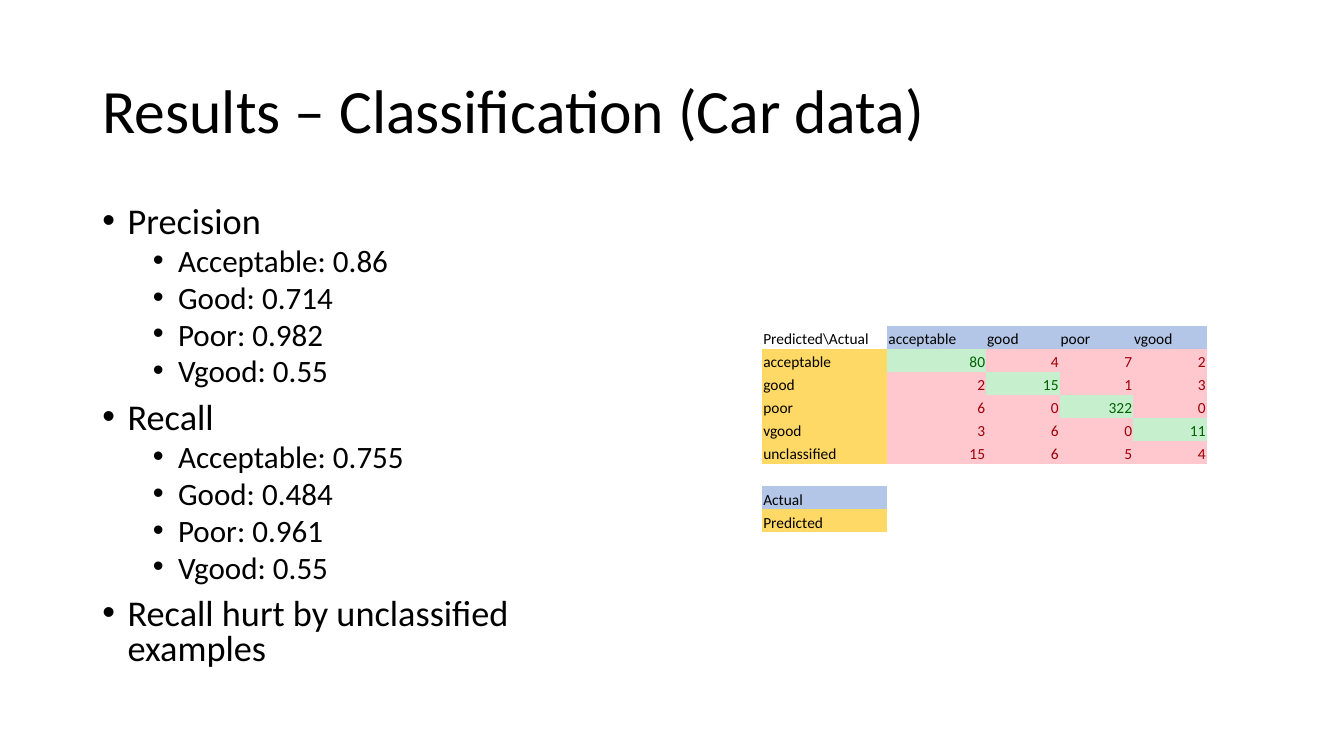
from dataclasses import dataclass

from lxml.etree import SubElement
from pptx import Presentation
from pptx.dml.color import RGBColor
from pptx.enum.text import MSO_ANCHOR as Anchor, MSO_AUTO_SIZE as AutoSize, PP_ALIGN as Align
from pptx.oxml.ns import qn
from pptx.util import Emu, Inches, Pt

COLOURS = {
    "text": "000000",
    "actual": "B4C6E7",
    "predicted": "FFD966",
    "hit": "C6EFCE",
    "hit text": "006100",
    "miss": "FFC7CE",
    "miss text": "9C0006",
}
FONT = "Calibri"
PLAIN_TABLE_STYLE = "{2D5ABB26-0587-4C30-8999-92F81FD0307C}"
GRID_COLUMNS, GRID_ROWS = 160, 90


@dataclass(frozen=True)
class Box:
    """A place on the slide, in grid columns and rows."""
    left: float
    top: float
    width: float
    height: float


@dataclass(frozen=True)
class Level:
    size: float
    indent: float
    before: float


@dataclass(frozen=True)
class Bullet:
    text: str
    level: int = 0


@dataclass(frozen=True)
class Entry:
    text: str
    fill: str | None = None
    colour: str = "text"
    align: Align = Align.LEFT


TITLE_BOX = Box(11, 4.8, 138, 17.4)
BODY_BOX = Box(11, 24, 68, 57.1)
TABLE_BOX = Box(90.75, 38.8, 52.8, 24.6)
TABLE_COLUMNS = [14.9, 11.75, 8.75, 8.75, 8.75]
TABLE_ROWS = 9
LEGEND_ROW = 7

LEVELS = [Level(25.9, 0.25, 10), Level(22.2, 0.75, 5)]
HANGING = 0.25
BULLETS = [
    Bullet("Precision"),
    Bullet("Acceptable: 0.86", 1),
    Bullet("Good: 0.714", 1),
    Bullet("Poor: 0.982", 1),
    Bullet("Vgood: 0.55", 1),
    Bullet("Recall"),
    Bullet("Acceptable: 0.755", 1),
    Bullet("Good: 0.484", 1),
    Bullet("Poor: 0.961", 1),
    Bullet("Vgood: 0.55", 1),
    Bullet("Recall hurt by unclassified examples"),
]

CLASSES = ["acceptable", "good", "poor", "vgood"]
CONFUSION = {
    "acceptable": [80, 4, 7, 2],
    "good": [2, 15, 1, 3],
    "poor": [6, 0, 322, 0],
    "vgood": [3, 6, 0, 11],
    "unclassified": [15, 6, 5, 4],
}

deck = Presentation()
deck.slide_width, deck.slide_height = Inches(13.333), Inches(7.5)


def across(columns: float) -> Emu:
    return Emu(round(deck.slide_width * columns / GRID_COLUMNS))


def down(rows: float) -> Emu:
    return Emu(round(deck.slide_height * rows / GRID_ROWS))


def place(shape, box: Box) -> None:
    shape.left, shape.top = across(box.left), down(box.top)
    shape.width, shape.height = across(box.width), down(box.height)


def write(para, text: str, *, size: float, colour: str = "text",
          align: Align = Align.LEFT, spacing: float | None = None,
          before: float | None = None) -> None:
    para.alignment = align
    if spacing is not None:
        para.line_spacing = spacing
    if before is not None:
        para.space_before = Pt(before)
    span = para.add_run()
    span.text = text
    span.font.name, span.font.size = FONT, Pt(size)
    span.font.color.rgb = RGBColor.from_string(COLOURS[colour])


def add_bullets(frame, bullets: list[Bullet]) -> None:
    for index, bullet in enumerate(bullets):
        para = frame.add_paragraph() if index else frame.paragraphs[0]
        level = LEVELS[bullet.level]
        para.level = bullet.level
        write(para, bullet.text, size=level.size, spacing=0.8, before=level.before)
        properties = para._p.get_or_add_pPr()
        properties.set("marL", str(Inches(level.indent)))
        properties.set("indent", str(-Inches(HANGING)))
        SubElement(properties, qn("a:buFont"), typeface="Arial")
        SubElement(properties, qn("a:buChar"), char="•")


def confusion_entries() -> dict[tuple[int, int], Entry]:
    """Table contents by row and column."""
    entries = {(0, 0): Entry("Predicted\\Actual")}
    for column, name in enumerate(CLASSES, 1):
        entries[0, column] = Entry(name, "actual")
    for row, (name, counts) in enumerate(CONFUSION.items(), 1):
        entries[row, 0] = Entry(name, "predicted")
        for column, count in enumerate(counts, 1):
            kind = "hit" if row == column else "miss"
            entries[row, column] = Entry(str(count), kind, f"{kind} text", Align.RIGHT)
    for row, name in enumerate(["Actual", "Predicted"], LEGEND_ROW):
        entries[row, 0] = Entry(name, name.lower())
    return entries


def fill_cell(cell, entry: Entry | None) -> None:
    cell.vertical_anchor = Anchor.BOTTOM
    cell.margin_left = cell.margin_right = cell.margin_top = Inches(0.01)
    cell.margin_bottom = 0
    para = cell.text_frame.paragraphs[0]
    if entry:
        write(para, entry.text, size=11, colour=entry.colour, align=entry.align)
    else:
        # A small end mark keeps empty rows from growing
        SubElement(para._p, qn("a:endParaRPr"), sz="1100")
    if entry and entry.fill:
        cell.fill.solid()
        cell.fill.fore_color.rgb = RGBColor.from_string(COLOURS[entry.fill])
    else:
        cell.fill.background()


def add_confusion_table(page) -> None:
    box = TABLE_BOX
    frame = page.shapes.add_table(
        TABLE_ROWS, len(TABLE_COLUMNS), across(box.left), down(box.top),
        across(box.width), down(box.height))
    table = frame.table
    table.first_row = table.horz_banding = False
    table._tbl.tblPr.find(qn("a:tableStyleId")).text = PLAIN_TABLE_STYLE
    for column, width in zip(table.columns, TABLE_COLUMNS):
        column.width = across(width)
    entries = confusion_entries()
    for row in range(TABLE_ROWS):
        for column in range(len(TABLE_COLUMNS)):
            fill_cell(table.cell(row, column), entries.get((row, column)))


def main() -> None:
    page = deck.slides.add_slide(deck.slide_layouts[1])

    # Title
    title = page.shapes.title
    place(title, TITLE_BOX)
    title.text_frame.vertical_anchor = Anchor.MIDDLE
    title.text_frame.auto_size = AutoSize.NONE
    write(title.text_frame.paragraphs[0], "Results – Classification (Car data)",
          size=44, spacing=0.9)

    # Precision and recall list
    body = page.placeholders[1]
    place(body, BODY_BOX)
    body.text_frame.auto_size = AutoSize.NONE
    add_bullets(body.text_frame, BULLETS)

    # Confusion matrix with its colour legend
    add_confusion_table(page)

    deck.save("out.pptx")


if __name__ == "__main__":
    main()
